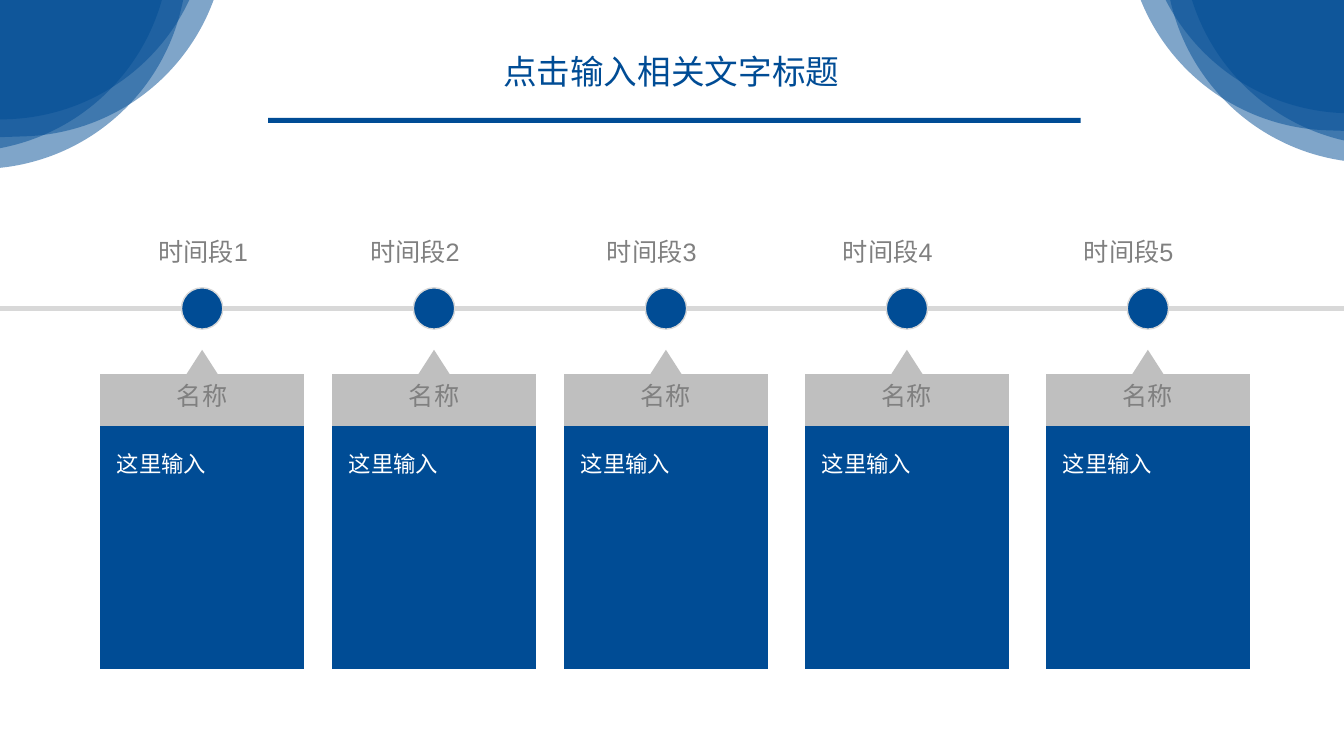
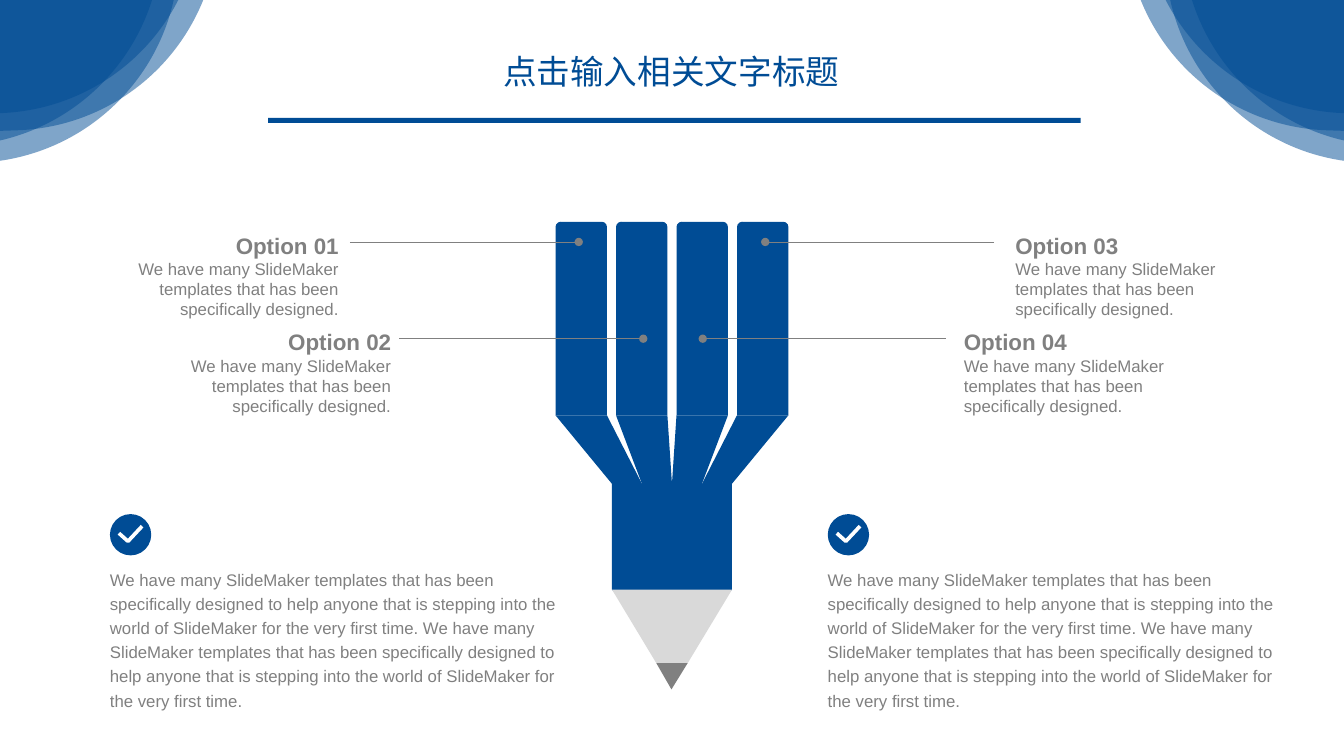
"""Build two slides: a five-step timeline and a pencil diagram with four options."""
from dataclasses import dataclass
from itertools import accumulate

from lxml.etree import SubElement
from pptx import Presentation
from pptx.dml.color import RGBColor
from pptx.enum.shapes import MSO_CONNECTOR as Link, MSO_SHAPE as Form
from pptx.enum.text import MSO_ANCHOR as Anchor, PP_ALIGN as Align
from pptx.oxml.ns import qn
from pptx.util import Inches, Pt


@dataclass(frozen=True)
class Theme:
    blue: str = "004C95"
    text: str = "808080"
    header: str = "BFBFBF"
    axis: str = "D8D8D8"
    wood: str = "D9D9D9"
    white: str = "FFFFFF"
    font: str = "Arial"
    title: int = 24
    label: int = 18
    body: int = 16
    small: int = 12


theme = Theme()
WIDTH, HEIGHT = 13.33, 7.5


def paint(shape, fill=None, line=None, weight=1, alpha=None):
    if fill:
        shape.fill.solid()
        shape.fill.fore_color.rgb = RGBColor.from_string(fill)
    if line:
        shape.line.color.rgb = RGBColor.from_string(line)
        shape.line.width = Pt(weight)
    else:
        shape.line.fill.background()
    properties = shape._element.spPr
    if alpha:
        tint = properties.find(qn("a:solidFill")).find(qn("a:srgbClr"))
        SubElement(tint, qn("a:alpha"), val=str(alpha * 1000))
    SubElement(properties, qn("a:effectLst"))


def write(holder, lines, color, align=Align.LEFT, inset=(0, 0), spacing=None, wrap=True):
    frame = holder.text_frame
    frame.word_wrap = wrap
    frame.vertical_anchor = Anchor.TOP
    frame.margin_left = frame.margin_right = Inches(inset[0])
    frame.margin_top = frame.margin_bottom = Inches(inset[1])
    frame.text = "\n".join(text for text, size, bold in lines)
    for paragraph, (text, size, bold) in zip(frame.paragraphs, lines):
        paragraph.alignment = align
        if spacing:
            paragraph.line_spacing = spacing
        font = paragraph.runs[0].font
        font.name, font.size, font.bold = theme.font, Pt(size), bold
        font.color.rgb = RGBColor.from_string(color)


deck = Presentation()
deck.slide_width, deck.slide_height = Inches(WIDTH), Inches(HEIGHT)
timeline, pencil = [deck.slides.add_slide(deck.slide_layouts[5]) for _ in range(2)]

PETAL = 6.88
for slide, shift_x, shift_y in ((timeline, 0.08, 0.06), (pencil, 0, 0)):
    title = slide.shapes.title
    title.left, title.top, title.width, title.height = map(Inches, (4.89, 0.45, 3.58, 0.5))
    write(title, [("点击输入相关文字标题", theme.title, False)], theme.blue,
          inset=(0.1, 0.05), wrap=False)
    rule = slide.shapes.add_shape(Form.RECTANGLE, *map(Inches, (2.66, 1.17, 8.06, 0.05)))
    paint(rule, theme.blue)
    for left, top in ((11.21, -5.54), (11.38, -5.71)):
        for turn in (-13.1, 1.9):
            mirrored = WIDTH - left - PETAL + shift_x
            for x, y, angle in ((left, top, turn), (mirrored, top + shift_y, -turn)):
                petal = slide.shapes.add_shape(
                    Form.ROUNDED_RECTANGLE, *map(Inches, (x, y, PETAL, PETAL)))
                petal.adjustments[0] = 0.3
                petal.rotation = angle
                paint(petal, theme.blue, alpha=50)

AXIS_Y = 3.06
CARD, DOT, POINTER = 2.03, 0.41, 0.45
INSET = (0.07, 0.04)
axis = timeline.shapes.add_connector(
    Link.STRAIGHT, *map(Inches, (0, AXIS_Y, WIDTH, AXIS_Y)))
paint(axis, line=theme.axis, weight=3)

card_lefts = accumulate((0.99, 2.3, 2.3, 2.39, 2.39))
period_shifts = (0.51, 0.31, 0.36, 0.31, 0.31)
for step, (left, shift) in enumerate(zip(card_lefts, period_shifts), 1):
    middle = left + CARD / 2
    for form, box, fill, line in (
        (Form.OVAL, (middle - DOT / 2, AXIS_Y - DOT / 2, DOT, DOT), theme.blue, theme.axis),
        (Form.FLOWCHART_PROCESS, (left, 3.71, CARD, 0.54), theme.header, None),
        (Form.ISOSCELES_TRIANGLE, (middle - POINTER / 2, 3.47, POINTER, 0.35),
         theme.header, None),
        (Form.FLOWCHART_PROCESS, (left, 4.23, CARD, 2.41), theme.blue, None),
    ):
        paint(timeline.shapes.add_shape(form, *map(Inches, box)), fill, line)
    for text, box, size, color, align in (
        (f"时间段{step}", (left + shift, 2.3, 1.41, 0.38), theme.label, theme.text, Align.LEFT),
        ("名称", (left, 3.73, CARD, 0.38), theme.label, theme.text, Align.CENTER),
        ("这里输入", (left + 0.1, 4.43, 1.93, 0.35), theme.body, theme.white, Align.LEFT),
    ):
        caption = timeline.shapes.add_textbox(*map(Inches, box))
        write(caption, [(text, size, False)], color, align, INSET)

SLAT, SLAT_STEP, SLAT_TOP, SLAT_END = 0.51, 0.6, 2.2, 4.12
NECK_LEFT, NECK_STEP, NECK_TOP, NECK_END = 6.07, 0.3, 4.8, 5.85
NECK_RIGHT = 7.26
outlines = []
for column in range(4):
    left = 5.51 + column * SLAT_STEP
    slat = pencil.shapes.add_shape(
        Form.ROUND_2_SAME_RECTANGLE,
        *map(Inches, (left, SLAT_TOP, SLAT, SLAT_END - SLAT_TOP)))
    slat.adjustments[0] = 0.1
    paint(slat, theme.blue)
    near, far = [NECK_LEFT + (NECK_RIGHT - NECK_LEFT) * edge / 4
                 for edge in (column, column + 1)]
    outlines += [
        (theme.blue, [(far, NECK_TOP), (near, NECK_TOP),
                      (left, SLAT_END), (left + SLAT, SLAT_END)]),
        (theme.blue, [(far, NECK_END), ((near + far) / 2, 5.99), (near, NECK_END),
                      (near, NECK_TOP), (far, NECK_TOP)]),
    ]
outlines += [
    (theme.wood, [(NECK_RIGHT, NECK_END), (NECK_LEFT, NECK_END), (6.51, 6.58), (6.82, 6.58)]),
    (theme.text, [(6.82, 6.58), (6.51, 6.58), (6.66, 6.84)]),
]
for fill, points in outlines:
    start, *others = [tuple(map(Inches, point)) for point in points]
    outline = pencil.shapes.build_freeform(*start)
    outline.add_line_segments(others, close=True)
    paint(outline.convert_to_shape(), fill)

pitch = "We have many SlideMaker templates that has been specifically designed"
story = (f"{pitch} to help anyone that is stepping into the world of SlideMaker "
         "for the very first time.")
for left in (1.09, 8.21):
    badge = pencil.shapes.add_shape(Form.OVAL, *map(Inches, (left, 5.1, DOT, DOT)))
    paint(badge, theme.blue)
    tick = pencil.shapes.build_freeform(Inches(left + 0.09), Inches(5.29))
    tick.add_line_segments([(Inches(left + 0.18), Inches(5.37)),
                            (Inches(left + 0.32), Inches(5.22))], close=False)
    check = tick.convert_to_shape()
    check.fill.background()
    paint(check, line=theme.white, weight=2.63)
    summary = pencil.shapes.add_textbox(*map(Inches, (left, 5.61, 4.44, 1.45)))
    write(summary, [(f"{story} {story}", theme.small, False)], theme.text, spacing=1.2)

for number, left, top, align, leader_start, leader_end in (
    (1, 0.78, 2.3, Align.RIGHT, 3.47, 5.74),
    (2, 1.3, 3.26, Align.RIGHT, 3.96, 6.38),
    (3, 10.07, 2.3, Align.LEFT, 9.86, 7.59),
    (4, 9.56, 3.26, Align.LEFT, 9.38, 6.97),
):
    option = pencil.shapes.add_textbox(*map(Inches, (left, top, 2.58, 0.88)))
    write(option, [(f"Option {number:02}", theme.body, True),
                   (f"{pitch}.", theme.small, False)], theme.text, align)
    leader_y = top + 0.1
    leader = pencil.shapes.add_connector(
        Link.STRAIGHT, *map(Inches, (leader_start, leader_y, leader_end, leader_y)))
    paint(leader, line=theme.text, weight=0.5)
    SubElement(leader._element.spPr.find(qn("a:ln")), qn("a:tailEnd"), type="oval")

deck.save("out.pptx")
